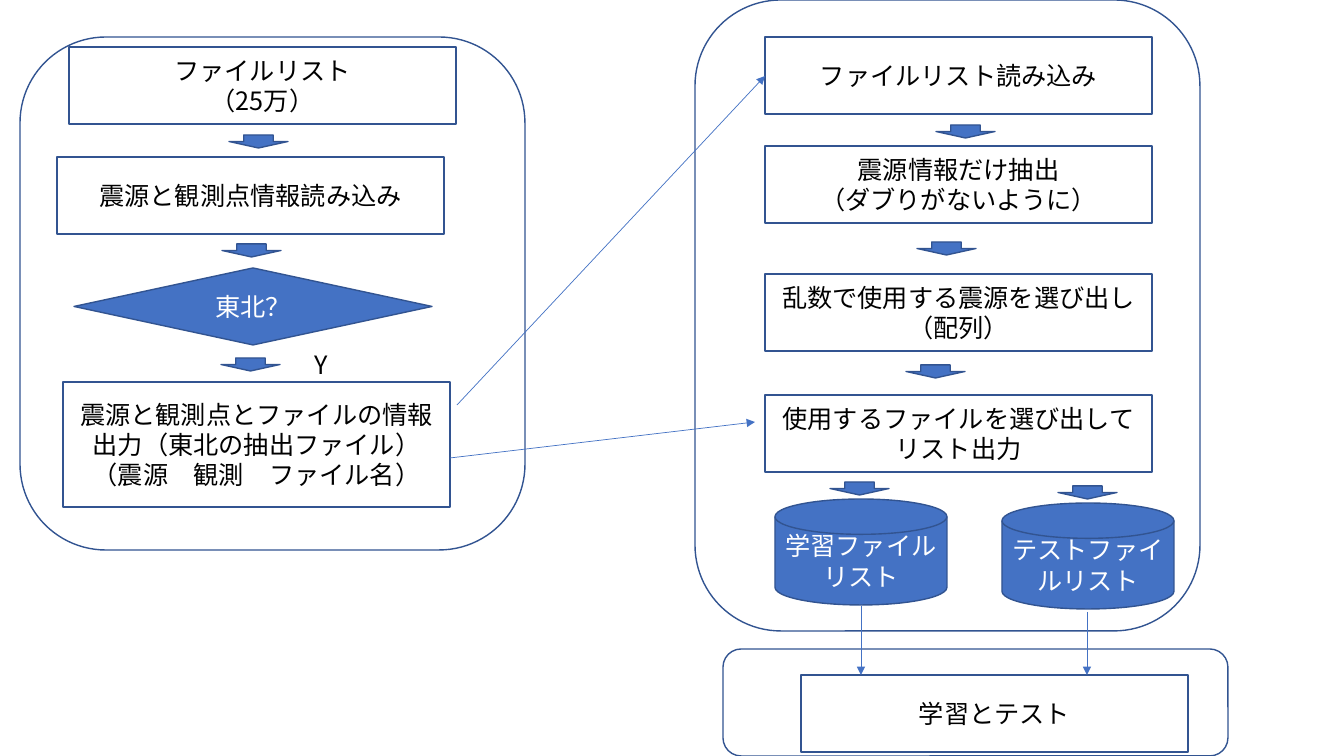
import pptx
import pptx.util
import pptx.dml.color
import pptx.enum.shapes
import pptx.enum.text
import pptx.oxml.ns
import lxml.etree

RGB = pptx.dml.color.RGBColor
BLUE = RGB(0x44, 0x72, 0xC4)
EDGE = RGB(0x32, 0x54, 0x91)
BLACK = RGB(0, 0, 0)
WHITE = RGB(255, 255, 255)
FONT = "Noto Sans CJK JP"
KIND = pptx.enum.shapes.MSO_SHAPE
ALIGN = pptx.enum.text.PP_ALIGN
SCALE = 914400 / 100.8

STEP = (387, 77)
DISK = (172, 106)
ARROW = (59, 13)

FRAMES = [(20, 37, 505, 513, 0.17), (695, 0, 505, 631, 0.17), (723, 649, 505, 107, 0.17)]
STEPS = [
    (69, 47, STEP, "ファイルリスト\n（25万）"),
    (57, 157, STEP, "震源と観測点情報読み込み"),
    (63, 382, (387, 125), "震源と観測点とファイルの情報出力（東北の抽出ファイル）\n（震源　観測　ファイル名）"),
    (765, 37, STEP, "ファイルリスト読み込み"),
    (765, 146, STEP, "震源情報だけ抽出\n（ダブりがないように）"),
    (765, 274, STEP, "乱数で使用する震源を選び出し\n（配列）"),
    (765, 395, STEP, "使用するファイルを選び出して\nリスト出力"),
    (801, 675, STEP, "学習とテスト"),
]
SOLIDS = [
    (KIND.FLOWCHART_DECISION, 74, 268, (358, 77), "東北？"),
    (KIND.FLOWCHART_MAGNETIC_DISK, 775, 499, DISK, "学習ファイルリスト"),
    (KIND.FLOWCHART_MAGNETIC_DISK, 1002, 503, DISK, "テストファイルリスト"),
]
ARROWS = [(229, 135), (222, 244), (221, 358), (936, 125), (917, 242),
          (906, 365), (830, 482), (1058, 486)]
LINKS = [(457, 405, 765, 76), (450, 458, 755, 422),
         (861, 606, 861, 675), (1087, 612, 1087, 675)]


def px(num):
    return round(num * SCALE)


def write(shape, text, color, align):
    frame = shape.text_frame
    frame.text = text
    for para in frame.paragraphs:
        para.alignment = align
        for run in para.runs:
            run.font.size = pptx.util.Pt(18)
            run.font.name = FONT
            run.font.color.rgb = color
            east = lxml.etree.SubElement(run.font._element, pptx.oxml.ns.qn("a:ea"))
            east.set("typeface", FONT)


def draw(kind, left, top, size, fill=None, text="", color=BLACK):
    shape = slide.shapes.add_shape(kind, px(left), px(top), *map(px, size))
    shape.shadow.inherit = False
    if fill is None:
        shape.fill.background()
    else:
        shape.fill.solid()
        shape.fill.fore_color.rgb = fill
    shape.line.color.rgb = EDGE
    shape.line.width = pptx.util.Pt(1)
    if text:
        shape.text_frame.vertical_anchor = pptx.enum.text.MSO_ANCHOR.MIDDLE
        write(shape, text, color, ALIGN.CENTER)
    return shape


def link(*ends):
    line = slide.shapes.add_connector(
        pptx.enum.shapes.MSO_CONNECTOR.STRAIGHT, *map(px, ends))
    line.line.color.rgb = BLUE
    line.line.width = pptx.util.Pt(0.5)
    tail = lxml.etree.SubElement(line.line._get_or_add_ln(), pptx.oxml.ns.qn("a:tailEnd"))
    tail.set("type", "triangle")
    lxml.etree.SubElement(line._element.spPr, pptx.oxml.ns.qn("a:effectLst"))


deck = pptx.Presentation()
deck.slide_width = px(1344)
deck.slide_height = px(756)
slide = deck.slides.add_slide(deck.slide_layouts[6])

for left, top, wide, high, curve in FRAMES:
    draw(KIND.ROUNDED_RECTANGLE, left, top, (wide, high)).adjustments[0] = curve
for left, top, size, text in STEPS:
    draw(KIND.RECTANGLE, left, top, size, None, text)
for kind, left, top, size, text in SOLIDS:
    draw(kind, left, top, size, BLUE, text, WHITE)
for left, top in ARROWS:
    draw(KIND.DOWN_ARROW, left, top, ARROW, BLUE)
for ends in LINKS:
    link(*ends)

label = slide.shapes.add_textbox(px(305), px(344), px(36), px(40))
label.text_frame.word_wrap = False
write(label, "Y", BLACK, ALIGN.LEFT)

deck.save("out.pptx")
